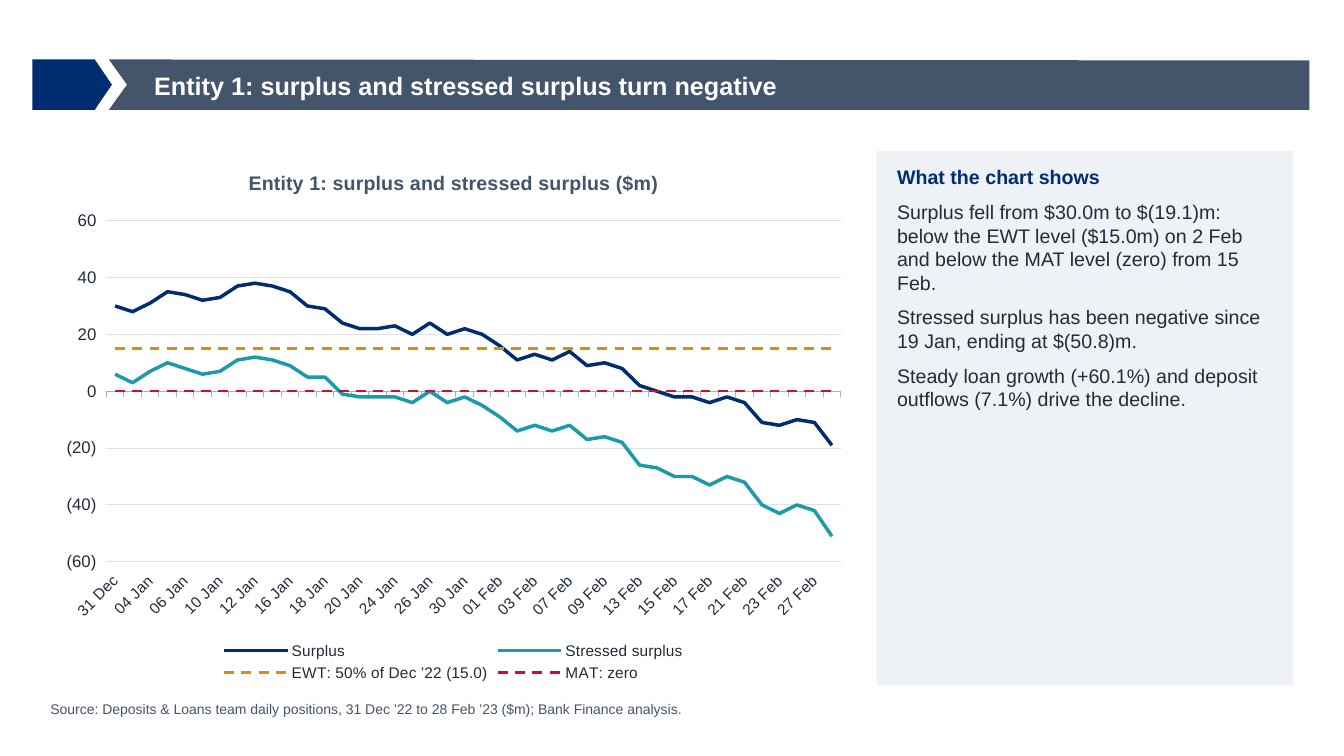
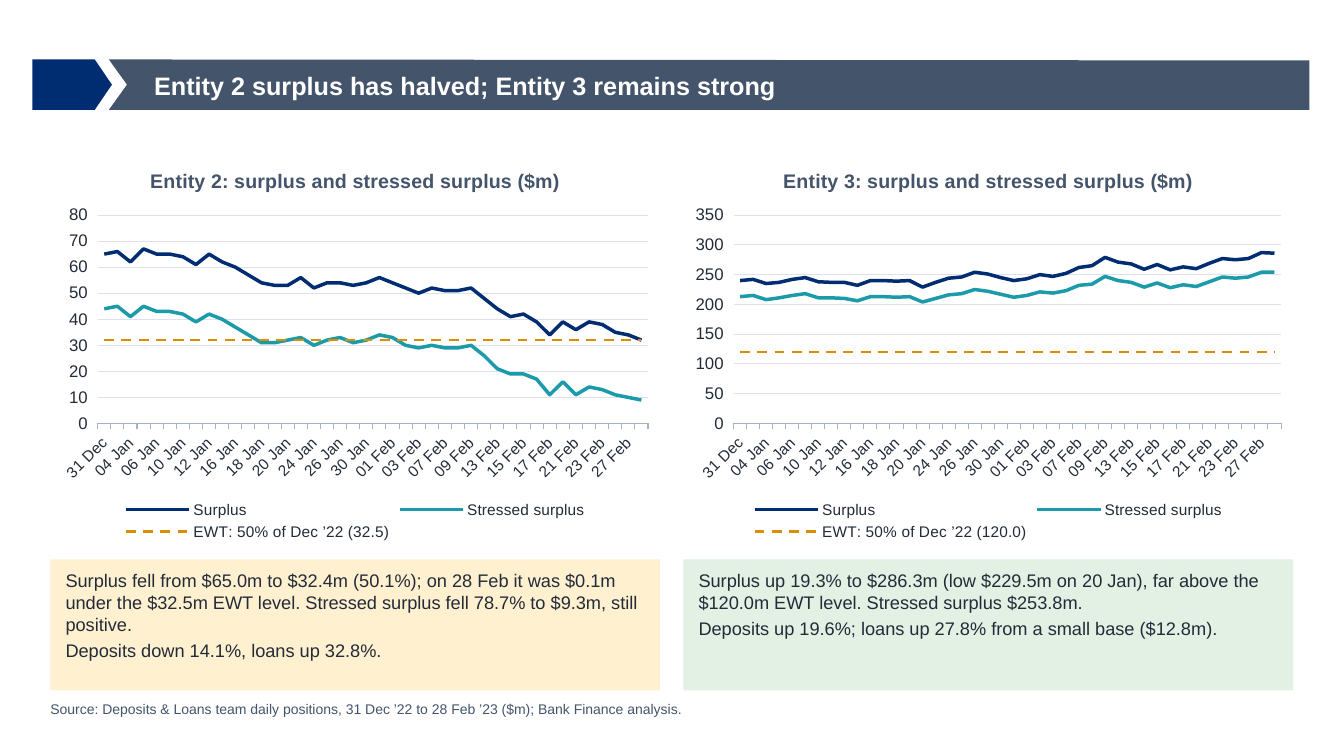
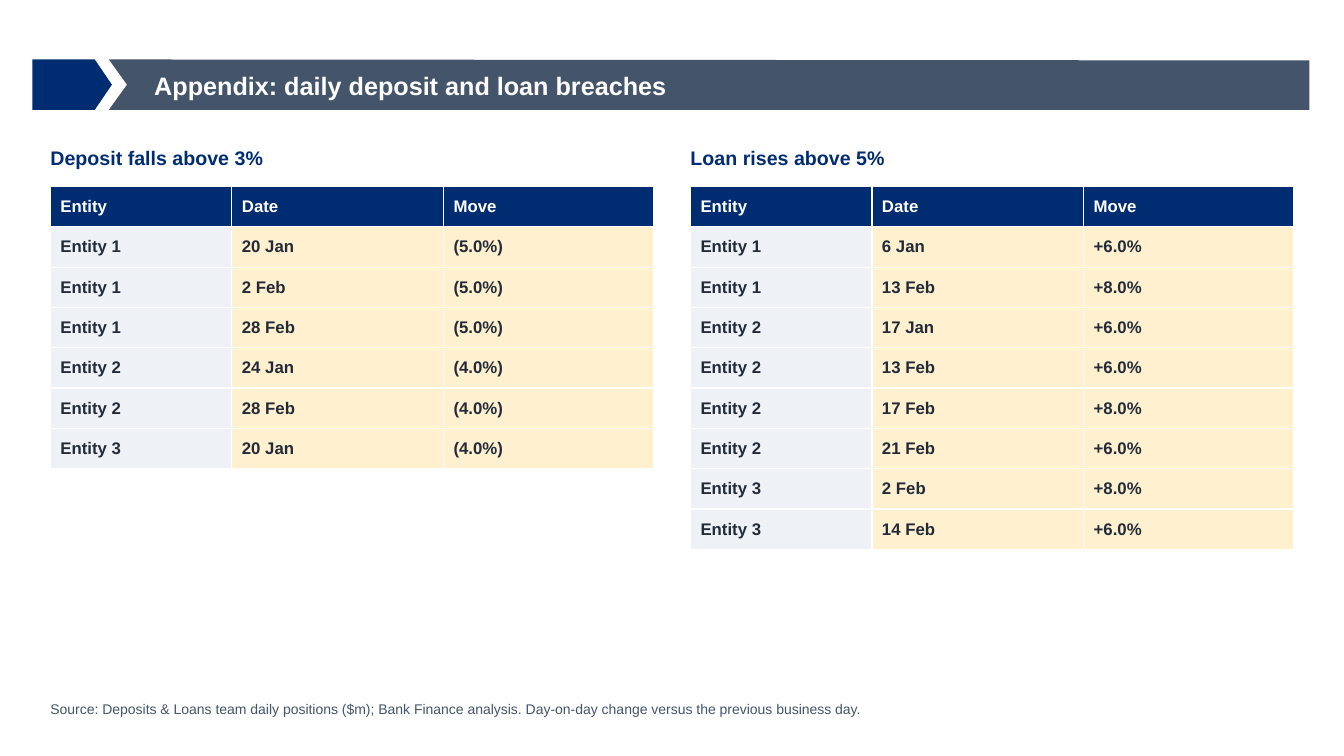
from dataclasses import dataclass
from typing import Sequence

from lxml.etree import SubElement
from pptx import Presentation
from pptx.chart.data import CategoryChartData
from pptx.dml.color import RGBColor
from pptx.enum.chart import XL_CHART_TYPE as ChartType
from pptx.enum.chart import XL_LEGEND_POSITION as LegendPosition
from pptx.enum.chart import XL_TICK_LABEL_POSITION as LabelPosition
from pptx.enum.chart import XL_TICK_MARK as TickMark
from pptx.enum.dml import MSO_LINE as LineStyle
from pptx.enum.shapes import MSO_SHAPE as ShapeKind
from pptx.enum.text import MSO_ANCHOR as Anchor
from pptx.enum.text import PP_ALIGN as Align
from pptx.oxml.ns import qn
from pptx.util import Emu, Pt

PX = 9144  # 100 px to the inch
SLIDE_WIDTH, SLIDE_HEIGHT = Emu(12192000), Emu(6858000)  # 16:9
FONT = "Arial"
COLORS = {
    "navy": "002D72",
    "slate": "44546A",
    "ink": "222B38",
    "white": "FFFFFF",
    "teal": "1B9AAA",
    "amber": "D98E04",
    "red": "C8102E",
    "mist": "EEF2F7",
    "cream": "FFF0D0",
    "mint": "E3F1E4",
    "grid": "DDE2EA",
    "axis": "A6B1C2",
}

LEFT, RIGHT = 50, 1283
POSITIONS = "Source: Deposits & Loans team daily positions"
DAILY_SOURCE = f"{POSITIONS}, 31 Dec ’22 to 28 Feb ’23 ($m); Bank Finance analysis."
BREACH_SOURCE = (f"{POSITIONS} ($m); Bank Finance analysis. "
                 "Day-on-day change versus the previous business day.")

JANUARY = "03 04 05 06 09 10 11 12 13 16 17 18 19 20 23 24 25 26 27 30 31"
FEBRUARY = "01 02 03 06 07 08 09 10 13 14 15 16 17 20 21 22 23 24 27 28"
DATES = (["31 Dec"] + [f"{day} Jan" for day in JANUARY.split()]
         + [f"{day} Feb" for day in FEBRUARY.split()])


@dataclass(frozen=True)
class Area:
    left: int
    top: int
    width: int
    height: int

    def emu(self) -> tuple:
        return tuple(Emu(n * PX) for n in (self.left, self.top, self.width, self.height))


@dataclass(frozen=True)
class Line:
    name: str
    values: Sequence[int]
    color: str
    dashed: bool = False


@dataclass(frozen=True)
class Entity:
    number: int
    surplus: Sequence[int]
    stressed: Sequence[int]
    warning: int
    warning_label: str
    has_floor: bool = False

    def lines(self) -> list[Line]:
        lines = [
            Line("Surplus", self.surplus, "navy"),
            Line("Stressed surplus", self.stressed, "teal"),
            Line(f"EWT: 50% of Dec ’22 ({self.warning_label})",
                 [self.warning] * len(DATES), "amber", True),
        ]
        if self.has_floor:
            lines.append(Line("MAT: zero", [0] * len(DATES), "red", True))
        return lines


@dataclass(frozen=True)
class Commentary:
    fill: str
    texts: Sequence[str]


@dataclass(frozen=True)
class Breaches:
    heading: str
    rows: Sequence[tuple[str, str, str]]


# Data
ENTITY_1 = Entity(
    1,
    [30, 28, 31, 35, 34, 32, 33, 37, 38, 37, 35, 30, 29, 24, 22, 22, 23, 20, 24, 20, 22,
     20, 16, 11, 13, 11, 14, 9, 10, 8, 2, 0, -2, -2, -4, -2, -4, -11, -12, -10, -11, -19],
    [6, 3, 7, 10, 8, 6, 7, 11, 12, 11, 9, 5, 5, -1, -2, -2, -2, -4, 0, -4, -2,
     -5, -9, -14, -12, -14, -12, -17, -16, -18, -26, -27, -30, -30, -33, -30, -32, -40,
     -43, -40, -42, -51],
    15, "15.0", has_floor=True)
ENTITY_2 = Entity(
    2,
    [65, 66, 62, 67, 65, 65, 64, 61, 65, 62, 60, 57, 54, 53, 53, 56, 52, 54, 54, 53, 54,
     56, 54, 52, 50, 52, 51, 51, 52, 48, 44, 41, 42, 39, 34, 39, 36, 39, 38, 35, 34, 32],
    [44, 45, 41, 45, 43, 43, 42, 39, 42, 40, 37, 34, 31, 31, 32, 33, 30, 32, 33, 31, 32,
     34, 33, 30, 29, 30, 29, 29, 30, 26, 21, 19, 19, 17, 11, 16, 11, 14, 13, 11, 10, 9],
    32, "32.5")
ENTITY_3 = Entity(
    3,
    [240, 242, 235, 237, 242, 245, 238, 237, 237, 232, 240, 240, 239, 240, 229, 237, 244,
     246, 254, 251, 245, 240, 243, 250, 247, 252, 262, 265, 279, 271, 268, 259, 267, 258,
     263, 260, 269, 277, 275, 277, 287, 286],
    [213, 215, 208, 211, 215, 218, 211, 211, 210, 206, 213, 213, 212, 213, 204, 210, 216,
     218, 225, 222, 217, 212, 215, 221, 219, 223, 232, 234, 247, 240, 237, 229, 236, 228,
     233, 230, 238, 246, 244, 246, 254, 254],
    120, "120.0")

ENTITY_1_NOTES = [
    "Surplus fell from $30.0m to $(19.1)m: below the EWT level ($15.0m) on 2 Feb "
    "and below the MAT level (zero) from 15 Feb.",
    "Stressed surplus has been negative since 19 Jan, ending at $(50.8)m.",
    "Steady loan growth (+60.1%) and deposit outflows (7.1%) drive the decline.",
]
COMPARISON = [
    (ENTITY_2, Commentary("cream", [
        "Surplus fell from $65.0m to $32.4m (50.1%); on 28 Feb it was $0.1m under the "
        "$32.5m EWT level. Stressed surplus fell 78.7% to $9.3m, still positive.",
        "Deposits down 14.1%, loans up 32.8%."])),
    (ENTITY_3, Commentary("mint", [
        "Surplus up 19.3% to $286.3m (low $229.5m on 20 Jan), far above the $120.0m "
        "EWT level. Stressed surplus $253.8m.",
        "Deposits up 19.6%; loans up 27.8% from a small base ($12.8m)."])),
]
BREACH_TABLES = [
    Breaches("Deposit falls above 3%", [
        ("Entity 1", "20 Jan", "(5.0%)"),
        ("Entity 1", "2 Feb", "(5.0%)"),
        ("Entity 1", "28 Feb", "(5.0%)"),
        ("Entity 2", "24 Jan", "(4.0%)"),
        ("Entity 2", "28 Feb", "(4.0%)"),
        ("Entity 3", "20 Jan", "(4.0%)"),
    ]),
    Breaches("Loan rises above 5%", [
        ("Entity 1", "6 Jan", "+6.0%"),
        ("Entity 1", "13 Feb", "+8.0%"),
        ("Entity 2", "17 Jan", "+6.0%"),
        ("Entity 2", "13 Feb", "+6.0%"),
        ("Entity 2", "17 Feb", "+8.0%"),
        ("Entity 2", "21 Feb", "+6.0%"),
        ("Entity 3", "2 Feb", "+8.0%"),
        ("Entity 3", "14 Feb", "+6.0%"),
    ]),
]


# Drawing helpers
def rgb(name: str) -> RGBColor:
    return RGBColor.from_string(COLORS[name])


def set_font(font, size: float, color: str, bold: bool = False) -> None:
    font.name, font.size, font.bold = FONT, Pt(size), bold
    font.color.rgb = rgb(color)


def write(frame, text: str, *, size: float, color: str = "ink", bold: bool = False,
          after: float = 0, append: bool = False) -> None:
    para = frame.add_paragraph() if append else frame.paragraphs[0]
    para.alignment = Align.LEFT
    para.space_after = Pt(after)
    span = para.add_run()
    span.text = text
    set_font(span.font, size, color, bold)


def set_frame(frame, across: int = 0, down: int = 0, anchor=Anchor.TOP) -> None:
    frame.word_wrap = True
    frame.vertical_anchor = anchor
    frame.margin_left = frame.margin_right = Emu(across * PX)
    frame.margin_top = frame.margin_bottom = Emu(down * PX)


def add_label(page, area: Area, text: str, anchor=Anchor.TOP, **style) -> None:
    frame = page.shapes.add_textbox(*area.emu()).text_frame
    set_frame(frame, anchor=anchor)
    write(frame, text, **style)


def paint(shape, fill: str) -> None:
    shape.shadow.inherit = False
    shape.fill.solid()
    shape.fill.fore_color.rgb = rgb(fill)
    shape.line.fill.background()


def add_box(page, area: Area, fill: str, across: int, down: int):
    box = page.shapes.add_shape(ShapeKind.RECTANGLE, *area.emu())
    paint(box, fill)
    set_frame(box.text_frame, across, down)
    return box.text_frame


def add_page(deck, title: str, source: str):
    page = deck.slides.add_slide(deck.slide_layouts[6])
    # Title band
    tag = page.shapes.add_shape(ShapeKind.PENTAGON, *Area(32, 59, 79, 50).emu())
    tag.adjustments[0] = 0.34
    paint(tag, "navy")
    outline = page.shapes.build_freeform(108, 59, scale=PX)
    outline.add_line_segments([(1299, 60), (1299, 109), (108, 109), (126, 84)])
    paint(outline.convert_to_shape(), "slate")
    add_label(page, Area(153, 61, 1048, 47), title, Anchor.MIDDLE,
              size=18, color="white", bold=True)
    # Source line
    add_label(page, Area(LEFT, 695, 1230, 30), source, size=10, color="slate")
    return page


def add_entity_chart(page, area: Area, entity: Entity) -> None:
    data = CategoryChartData(number_format="0")
    data.categories = DATES
    lines = entity.lines()
    for line in lines:
        data.add_series(line.name, line.values)
    chart = page.shapes.add_chart(ChartType.LINE, *area.emu(), data).chart
    set_font(chart.font, 12, "ink")
    chart.has_title = True
    write(chart.chart_title.text_frame,
          f"Entity {entity.number}: surplus and stressed surplus ($m)",
          size=14, color="slate", bold=True)
    chart.chart_title.include_in_layout = False

    chart.has_legend = True
    chart.legend.position = LegendPosition.BOTTOM
    chart.legend.include_in_layout = False
    set_font(chart.legend.font, 11, "ink")

    dates = chart.category_axis
    dates.tick_label_position = LabelPosition.LOW
    dates.major_tick_mark = TickMark.OUTSIDE
    dates.format.line.color.rgb = rgb("axis")
    dates.format.line.width = Pt(0.75)
    set_font(dates.tick_labels.font, 11, "ink")
    label_body = dates._element.find(qn("c:txPr")).find(qn("a:bodyPr"))
    label_body.set("rot", "-2700000")
    label_body.set("vert", "horz")

    amounts = chart.value_axis
    amounts.major_tick_mark = TickMark.OUTSIDE
    amounts.format.line.fill.background()
    amounts.has_major_gridlines = True
    amounts.major_gridlines.format.line.color.rgb = rgb("grid")
    amounts.major_gridlines.format.line.width = Pt(0.75)
    amounts.tick_labels.number_format = "#,##0;(#,##0)"
    amounts.tick_labels.number_format_is_linked = False

    plot = chart.plots[0]
    plot.vary_by_categories = False
    for series, line in zip(plot.series, lines):
        series.smooth = False
        stroke = series.format.line
        stroke.color.rgb = rgb(line.color)
        stroke.width = Pt(1.75 if line.dashed else 2.5)
        if line.dashed:
            stroke.dash_style = LineStyle.DASH


def add_borders(cell, color: str, width: float) -> None:
    properties = cell._tc.get_or_add_tcPr()
    for side in ("a:lnL", "a:lnR", "a:lnT", "a:lnB"):
        border = SubElement(properties, qn(side), w=str(Pt(width)))
        fill = SubElement(border, qn("a:solidFill"))
        SubElement(fill, qn("a:srgbClr"), val=COLORS[color])


def add_breach_table(page, left: int, breaches: Breaches) -> None:
    widths, row_height = (180, 210, 208), 40
    rows = [("Entity", "Date", "Move"), *breaches.rows]
    area = Area(left, 185, sum(widths), row_height * len(rows))
    table = page.shapes.add_table(len(rows), len(widths), *area.emu()).table
    table.first_row = table.horz_banding = False
    for column, width in zip(table.columns, widths):
        column.width = Emu(width * PX)
    for r, row in enumerate(rows):
        table.rows[r].height = Emu(row_height * PX)
        for c, text in enumerate(row):
            cell = table.cell(r, c)
            add_borders(cell, "white", 1)
            cell.fill.solid()
            cell.fill.fore_color.rgb = rgb(
                "navy" if r == 0 else "mist" if c == 0 else "cream")
            cell.vertical_anchor = Anchor.MIDDLE
            cell.margin_left = cell.margin_right = Emu(10 * PX)
            cell.margin_top = cell.margin_bottom = Emu(4 * PX)
            write(cell.text_frame, text, size=12, bold=True,
                  color="white" if r == 0 else "ink")


# Slides
def add_entity_1_page(deck) -> None:
    page = add_page(deck, "Entity 1: surplus and stressed surplus turn negative",
                    DAILY_SOURCE)
    add_entity_chart(page, Area(LEFT, 150, 800, 530), ENTITY_1)
    frame = add_box(page, Area(870, 150, RIGHT - 870, 530), "mist", 20, 14)
    write(frame, "What the chart shows", size=14, color="navy", bold=True, after=8)
    for text in ENTITY_1_NOTES:
        write(frame, text, size=14, after=8, append=True)


def add_comparison_page(deck) -> None:
    page = add_page(deck, "Entity 2 surplus has halved; Entity 3 remains strong",
                    DAILY_SOURCE)
    width = 605
    for left, (entity, commentary) in zip((LEFT, RIGHT - width), COMPARISON):
        add_entity_chart(page, Area(left, 150, width, 390), entity)
        frame = add_box(page, Area(left, 555, width, 130), commentary.fill, 15, 10)
        for i, text in enumerate(commentary.texts):
            write(frame, text, size=13, after=3, append=i > 0)


def add_appendix_page(deck) -> None:
    page = add_page(deck, "Appendix: daily deposit and loan breaches", BREACH_SOURCE)
    width = 598
    for left, breaches in zip((LEFT, RIGHT - width), BREACH_TABLES):
        add_label(page, Area(left, 145, width, 35), breaches.heading,
                  size=14, color="navy", bold=True)
        add_breach_table(page, left, breaches)


def main() -> None:
    deck = Presentation()
    deck.slide_width, deck.slide_height = SLIDE_WIDTH, SLIDE_HEIGHT
    add_entity_1_page(deck)
    add_comparison_page(deck)
    add_appendix_page(deck)
    deck.save("out.pptx")


if __name__ == "__main__":
    main()
